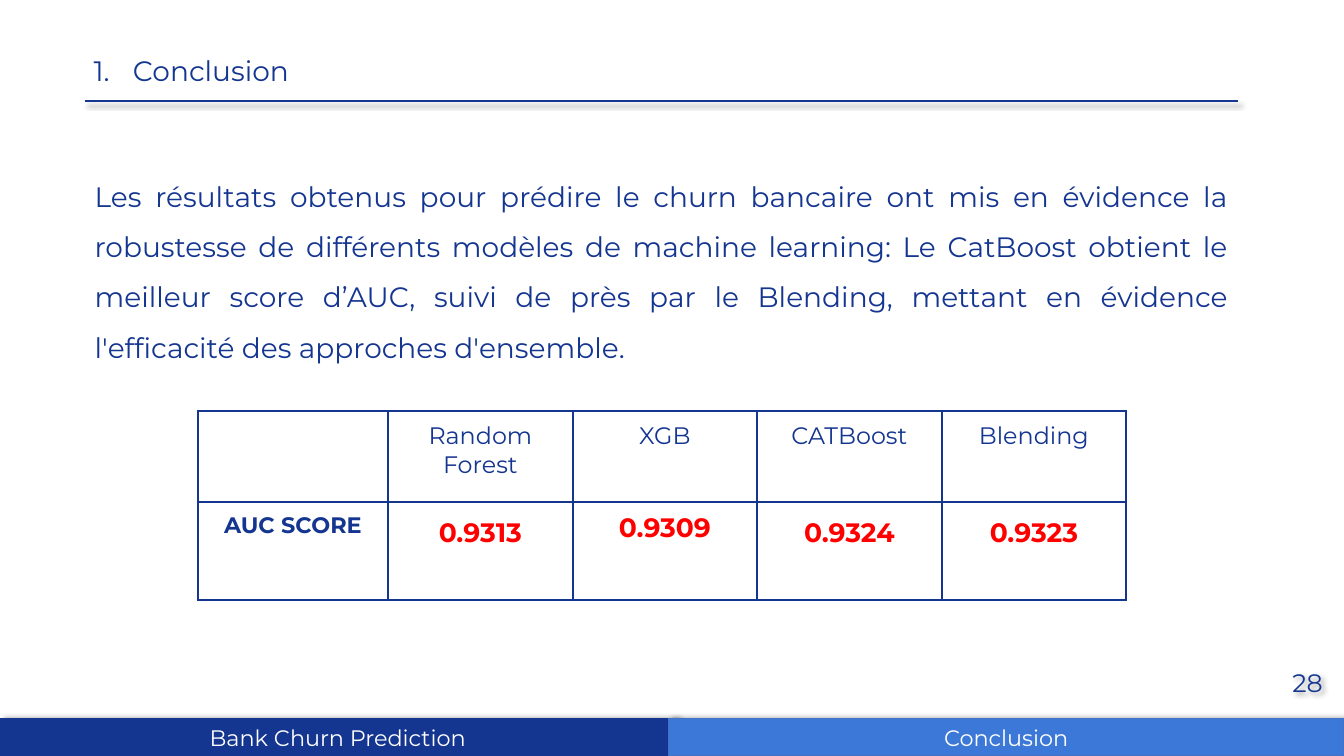
from lxml.etree import SubElement
from pptx import Presentation
from pptx.dml.color import RGBColor
from pptx.enum.shapes import MSO_CONNECTOR, MSO_SHAPE
from pptx.enum.text import MSO_ANCHOR, PP_ALIGN
from pptx.oxml import parse_xml
from pptx.oxml.ns import nsdecls, qn
from pptx.util import Inches, Pt

FONT = "Montserrat"
NAVY, BLUE, EDGE, RED, WHITE = "143590", "3C78D8", "4472C4", "FF0000", "FFFFFF"

TITLE = "Conclusion"
BODY = (
    "Les résultats obtenus pour prédire le churn bancaire ont mis en évidence la "
    "robustesse de différents modèles de machine learning: Le CatBoost obtient le "
    "meilleur score d’AUC, suivi de près par le Blending, mettant en évidence "
    "l'efficacité des approches d'ensemble."
)
PAGE_NUMBER = "28"
FOOTERS = [
    ("Bank Churn Prediction", 0, NAVY, NAVY),
    ("Conclusion", 6.63, BLUE, EDGE),
]
MODELS = ["Random Forest", "XGB", "CATBoost", "Blending"]
SCORE_LABEL = "AUC SCORE"
SCORES = [("0.9313", 1.15), ("0.9309", 1), ("0.9324", 1.15), ("0.9323", 1.15)]
COL_WIDTHS = [1.89] + [1.83] * len(MODELS)
ROW_HEIGHTS = [0.9, 0.97]


def rgb(value):
    return RGBColor.from_string(value)


def write(tf, text, size, color=NAVY, bold=False, align=PP_ALIGN.LEFT, spacing=None):
    p = tf.paragraphs[0]
    p.alignment = align
    if spacing:
        p.line_spacing = spacing
    r = p.add_run()
    r.text = text
    r.font.size = Pt(size)
    r.font.name = FONT
    r.font.bold = bold
    r.font.color.rgb = rgb(color)
    return p


def set_margins(box, side, top):
    box.margin_left = box.margin_right = Inches(side)
    box.margin_top = box.margin_bottom = Inches(top)


def add_text(left, top, width, height, inset=0.1):
    sp = slide.shapes.add_textbox(Inches(left), Inches(top), Inches(width), Inches(height))
    tf = sp.text_frame
    tf.word_wrap = True
    set_margins(tf, 0.1, inset)
    return sp, tf


def add_shadow(sp, angle):
    sp._element.spPr.append(parse_xml(
        f'<a:effectLst {nsdecls("a")}><a:outerShdw blurRad="{Pt(4)}" dist="{Pt(3)}" '
        f'dir="{angle * 60000}" algn="tl" rotWithShape="0"><a:srgbClr val="000000">'
        '<a:alpha val="40000"/></a:srgbClr></a:outerShdw></a:effectLst>'))


def add_borders(cell):
    tc_pr = cell._tc.get_or_add_tcPr()
    for i, side in enumerate("LRTB"):
        tc_pr.insert(i, parse_xml(
            f'<a:ln{side} {nsdecls("a")} w="{Pt(1.5)}"><a:solidFill>'
            f'<a:srgbClr val="{NAVY}"/></a:solidFill></a:ln{side}>'))


def add_number(p):
    p_pr = p._p.get_or_add_pPr()
    p_pr.set("marL", str(Inches(0.5)))
    p_pr.set("indent", str(Inches(-0.39)))
    color = SubElement(p_pr, qn("a:buClr"))
    SubElement(color, qn("a:srgbClr"), val=NAVY)
    SubElement(p_pr, qn("a:buFont"), typeface=FONT)
    SubElement(p_pr, qn("a:buAutoNum"), type="arabicPeriod")


prs = Presentation()
prs.slide_width, prs.slide_height = Inches(13.33), Inches(7.5)
slide = prs.slides.add_slide(prs.slide_layouts[6])

_, tf = add_text(0.72, 0.43, 9.52, 0.57)
add_number(write(tf, TITLE, 20))

rule = slide.shapes.add_connector(
    MSO_CONNECTOR.STRAIGHT, Inches(0.84), Inches(1), Inches(12.28), Inches(1))
rule.line.color.rgb = rgb(NAVY)
rule.line.width = Pt(1.5)
add_shadow(rule, 45)

for text, left, fill, edge in FOOTERS:
    sp = slide.shapes.add_shape(
        MSO_SHAPE.RECTANGLE, Inches(left), Inches(7.13), Inches(6.7), Inches(0.37))
    sp.fill.solid()
    sp.fill.fore_color.rgb = rgb(fill)
    sp.line.color.rgb = rgb(edge)
    sp.line.width = Pt(0.75)
    add_shadow(sp, 0)
    tf = sp.text_frame
    tf.word_wrap = True
    tf.vertical_anchor = MSO_ANCHOR.MIDDLE
    set_margins(tf, 0.1, 0.05)
    write(tf, text, 16, WHITE, align=PP_ALIGN.CENTER)

sp, tf = add_text(12.72, 6.57, 0.62, 0.4, 0.05)
write(tf, PAGE_NUMBER, 18)
add_shadow(sp, 45)

table = slide.shapes.add_table(
    len(ROW_HEIGHTS), len(COL_WIDTHS), Inches(1.96), Inches(4.08),
    Inches(sum(COL_WIDTHS)), Inches(sum(ROW_HEIGHTS))).table
table.first_row = table.horz_banding = False
for column, width in zip(table.columns, COL_WIDTHS):
    column.width = Inches(width)
for row, height in zip(table.rows, ROW_HEIGHTS):
    row.height = Inches(height)
for cell in table.iter_cells():
    set_margins(cell, 0.1, 0.1)
    cell.fill.background()
    add_borders(cell)

write(table.cell(1, 0).text_frame, SCORE_LABEL, 16, bold=True, align=PP_ALIGN.CENTER)
for col, (model, (score, spacing)) in enumerate(zip(MODELS, SCORES), 1):
    write(table.cell(0, col).text_frame, model, 17, align=PP_ALIGN.CENTER)
    write(table.cell(1, col).text_frame, score, 19, RED, True, PP_ALIGN.CENTER, spacing)

_, tf = add_text(0.84, 1.51, 11.44, 2.05)
write(tf, BODY, 20, align=PP_ALIGN.JUSTIFY, spacing=1.5)

prs.save("out.pptx")
